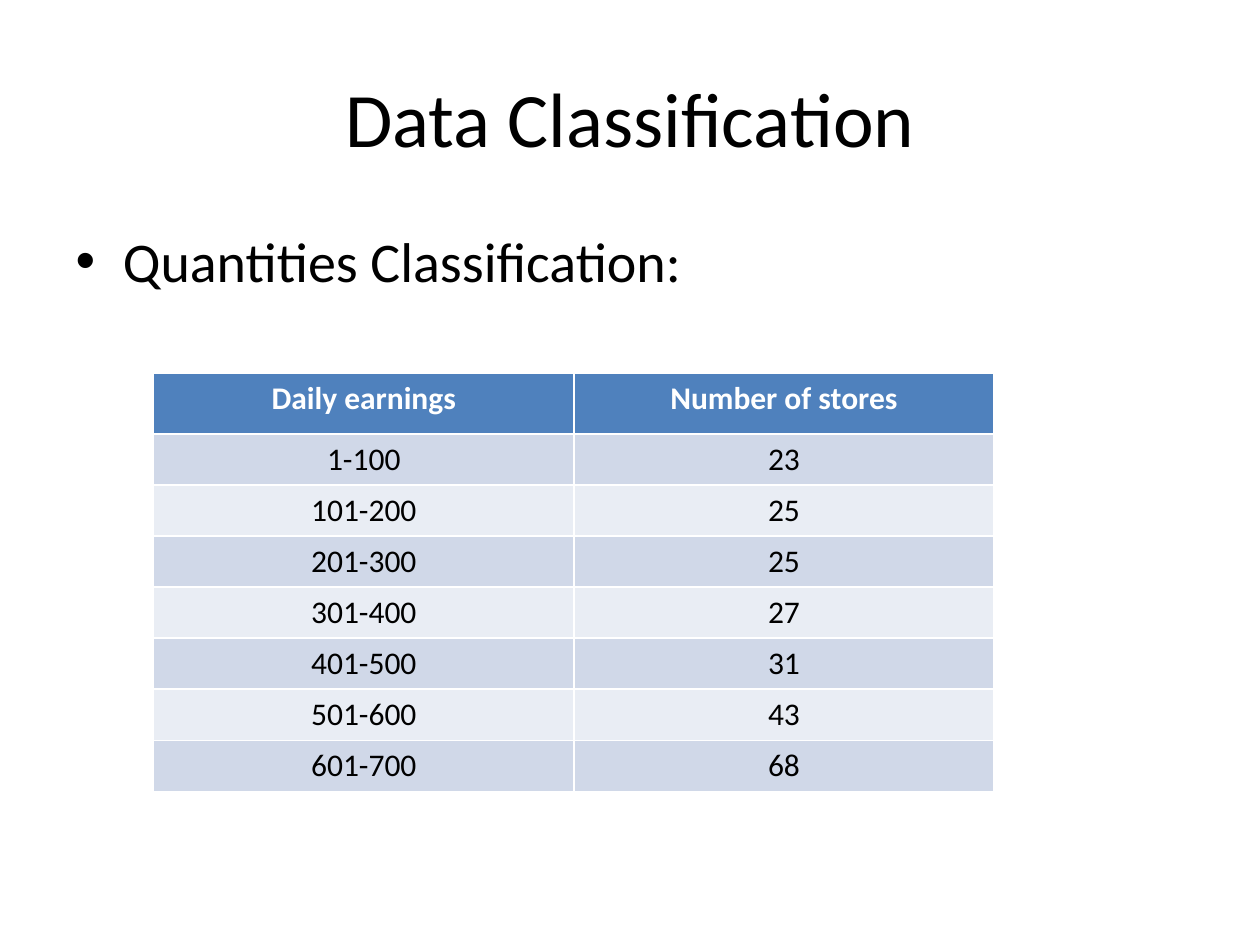
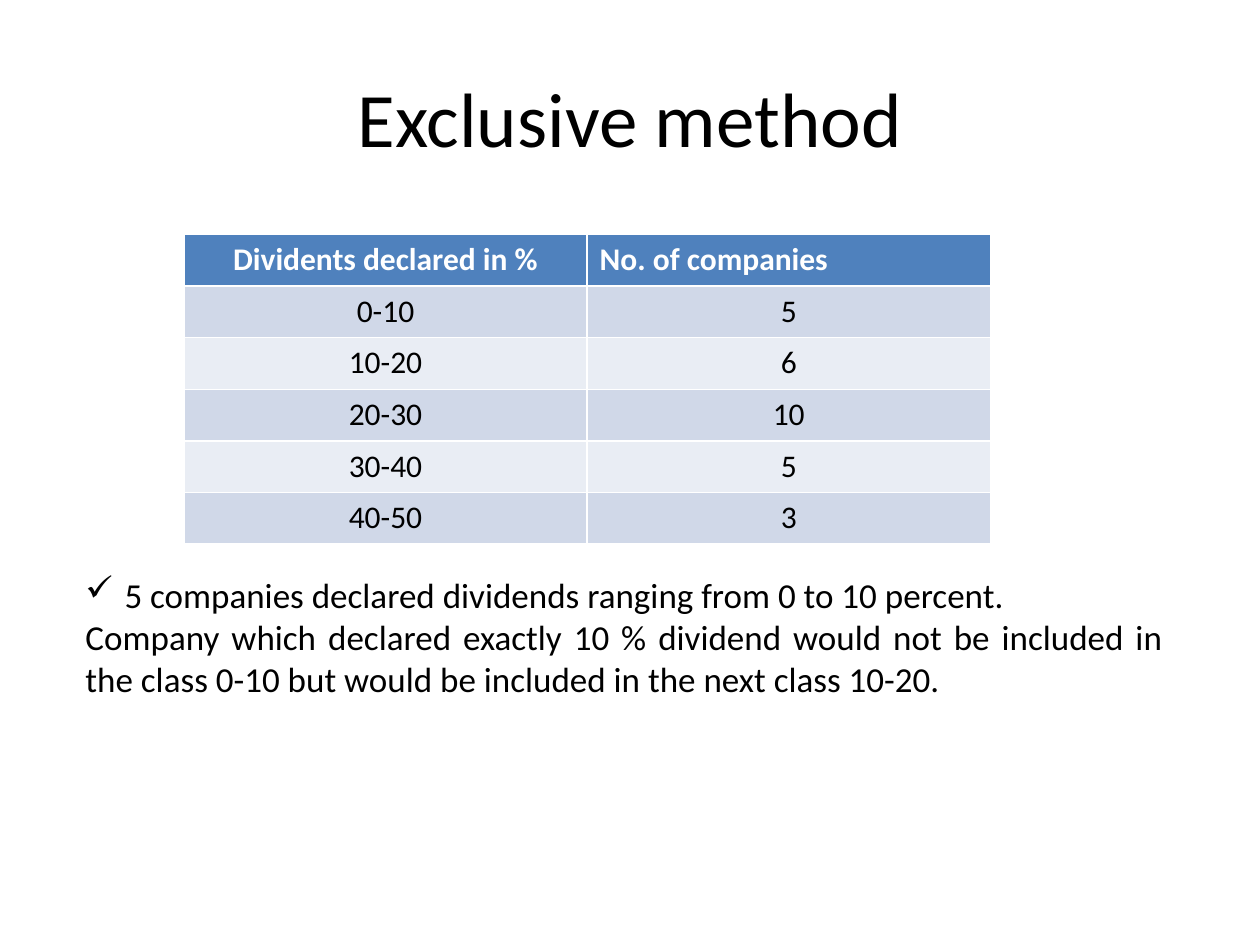
from lxml import etree
from pptx import Presentation
from pptx.dml.color import RGBColor
from pptx.enum.text import MSO_ANCHOR, PP_ALIGN
from pptx.oxml.ns import qn
from pptx.util import Inches, Pt

LEFT, CENTER, JUSTIFY = PP_ALIGN.LEFT, PP_ALIGN.CENTER, PP_ALIGN.JUSTIFY
MIDDLE = MSO_ANCHOR.MIDDLE
FONT = "Calibri"
WIDE, HIGH = 10, 7.5
EDGE = 0.05  # side margin, as a share of the slide's width
INK = {
    "text": "000000",
    "light": "FFFFFF",
    "head": "4F81BD",
    "odd": "D0D8E8",
    "even": "E9EDF4",
}


def color(name):
    return RGBColor.from_string(INK[name])


def style(para, size, align, ink="text", bold=False):
    para.alignment = align
    font = para.font
    font.name, font.size, font.bold = FONT, Pt(size), bold
    font.color.rgb = color(ink)


def place(shape, left, top, width, height):
    """Move a shape to a box given in shares of the slide's size."""
    shape.left, shape.width = Inches(left * WIDE), Inches(width * WIDE)
    shape.top, shape.height = Inches(top * HIGH), Inches(height * HIGH)


def add_slide(deck, layout, title):
    slide = deck.slides.add_slide(deck.slide_layouts.get_by_name(layout))
    head = slide.shapes.title
    place(head, EDGE, 0.04, 1 - 2 * EDGE, 1 / 6)
    head.text_frame.vertical_anchor = MIDDLE
    head.text = title
    style(head.text_frame.paragraphs[0], 44, CENTER)
    return slide


def add_list(slide, items):
    body = slide.placeholders[1]
    place(body, EDGE, 0.233, 1 - 2 * EDGE, 0.66)
    body.text = "\n".join(items)
    for para in body.text_frame.paragraphs:
        style(para, 32, LEFT)


def add_grid(slide, rows, left, top, width, first, step, last=CENTER):
    """Banded table; first and step are row heights, last aligns the last heading."""
    count, cols = len(rows), len(rows[0])
    frame = slide.shapes.add_table(count, cols, 0, 0, 0, 0)
    place(frame, left, top, width, (first + step * (count - 1)) / HIGH)
    table = frame.table
    for col in table.columns:
        col.width = Inches(width * WIDE / cols)
    for r, row in enumerate(rows):
        table.rows[r].height = Inches(step if r else first)
        band = "head" if r == 0 else "odd" if r % 2 else "even"
        for c, text in enumerate(row):
            cell = table.cell(r, c)
            cell.text = text
            cell.fill.solid()
            cell.fill.fore_color.rgb = color(band)
            align = last if r == 0 and c == cols - 1 else CENTER
            style(cell.text_frame.paragraphs[0], 18, align,
                  "text" if r else "light", r == 0)


def add_tick(para, indent):
    props = para._p.get_or_add_pPr()
    props.set("marL", str(Inches(indent)))
    props.set("indent", str(-Inches(indent)))
    etree.SubElement(props, qn("a:buChar")).set("char", "✓")


def add_note(slide, point, detail):
    """Ticked point followed by a plain justified paragraph."""
    box = slide.shapes.add_textbox(0, 0, 0, 0)
    place(box, 0.058, 0.6, 0.875, 0.148)
    frame = box.text_frame
    frame.word_wrap = True
    frame.text = f"{point}\n{detail}"
    for para in frame.paragraphs:
        style(para, 20, JUSTIFY)
    add_tick(frame.paragraphs[0], 0.31)


def main():
    deck = Presentation()
    deck.slide_width, deck.slide_height = Inches(WIDE), Inches(HIGH)

    slide = add_slide(deck, "Title and Content", "Data Classification")
    add_list(slide, ["Quantities Classification:"])
    stores = [
        ("Daily earnings", "Number of stores"),
        ("1-100", "23"),
        ("101-200", "25"),
        ("201-300", "25"),
        ("301-400", "27"),
        ("401-500", "31"),
        ("501-600", "43"),
        ("601-700", "68"),
    ]
    add_grid(slide, stores, 0.122, 0.395, 0.667, 0.48, 0.4)

    slide = add_slide(deck, "Title Only", "Exclusive method")
    firms = [
        ("Dividents declared in %", "No. of companies"),
        ("0-10", "5"),
        ("10-20", "6"),
        ("20-30", "10"),
        ("30-40", "5"),
        ("40-50", "3"),
    ]
    add_grid(slide, firms, 0.146, 0.248, 0.64, 0.41, 0.41, last=LEFT)
    add_note(
        slide,
        "5 companies declared dividends ranging from 0 to 10 percent.",
        "Company which declared exactly 10 % dividend would not be included in "
        "the class 0-10 but would be included in the next class 10-20.",
    )
    deck.save("out.pptx")


if __name__ == "__main__":
    main()
